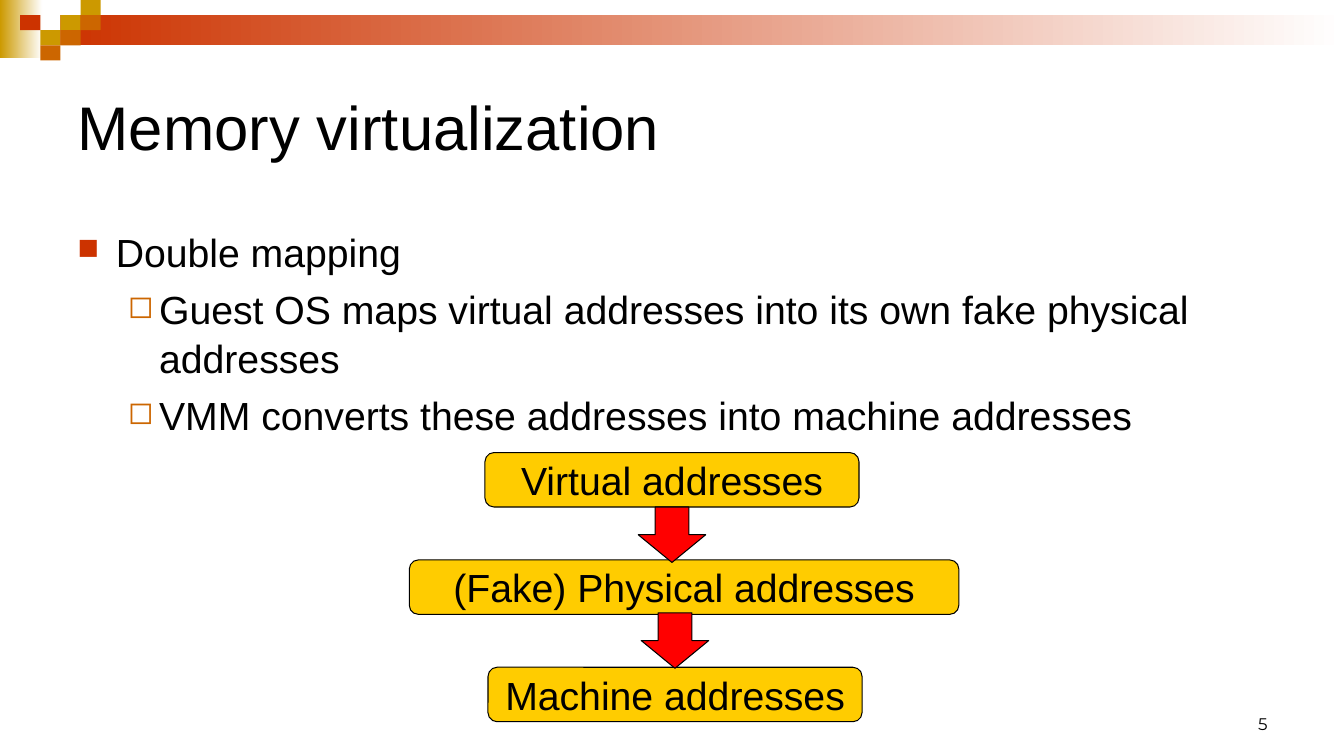
from pptx import Presentation
from pptx.dml.color import RGBColor
from pptx.enum.shapes import MSO_SHAPE as Shape
from pptx.enum.text import MSO_ANCHOR as Anchor, PP_ALIGN as Align
from pptx.oxml import parse_xml
from pptx.oxml.ns import nsdecls
from pptx.util import Inches, Pt

BLACK, WHITE, RED = "000000", "FFFFFF", "FF0000"
GOLD, RUST, BROWN, YELLOW = "CC9900", "CC3300", "CC6600", "FFCC00"


def rgb(code):
    return RGBColor.from_string(code)


def style(para, size, face="Arial", align=Align.LEFT):
    para.alignment = align
    font = para.font
    font.size, font.name = Pt(size), face
    font.color.rgb = rgb(BLACK)


def add_text(slide, box, anchor=Anchor.TOP):
    frame = slide.shapes.add_textbox(*map(Inches, box)).text_frame
    frame.word_wrap = True
    frame.vertical_anchor = anchor
    return frame


def add_part(slide, kind, box, fill, line=None):
    """Draw a preset shape; a pair of colours as fill makes a gradient."""
    part = slide.shapes.add_shape(kind, *map(Inches, box))
    part.shadow.inherit = False
    if isinstance(fill, tuple):
        part.fill.gradient()
        part.fill.gradient_angle = 0
        for stop, code, place in zip(part.fill.gradient_stops, fill, (0, 1)):
            stop.color.rgb, stop.position = rgb(code), place
    else:
        part.fill.solid()
        part.fill.fore_color.rgb = rgb(fill)
    if line:
        part.line.color.rgb = rgb(line)
        part.line.width = Pt(0.75)
    else:
        part.line.fill.background()
    return part


def add_band(slide, left, top, width):
    """Place the fading bars and the mosaic of tiles on them."""
    w, h = 0.2, 0.15
    add_part(slide, Shape.RECTANGLE, (left, top, 0.42, 0.58), (GOLD, WHITE))
    bar = (left + 3 * w, top + h, width - 3 * w, 2 * h)
    add_part(slide, Shape.RECTANGLE, bar, (RUST, WHITE))
    tiles = [(3, 1, GOLD), (4, 0, GOLD), (4, 1, BROWN), (2, 2, GOLD),
             (1, 1, RUST), (3, 2, BROWN), (2, 3, BROWN)]
    for col, row, fill in tiles:
        box = (left + col * w, top + row * h, w, h)
        add_part(slide, Shape.RECTANGLE, box, fill)


def add_title(slide, box, text):
    frame = add_text(slide, box, Anchor.MIDDLE)
    frame.text = text
    style(frame.paragraphs[0], 44)


def add_bullet(para, level):
    margin, hang, code, size, mark = [(0.38, 0.38, RUST, 75, "■"),
                                      (0.81, 0.31, BROWN, 80, "◻")][level]
    props = para._p.get_or_add_pPr()
    props.set("marL", str(Inches(margin)))
    props.set("indent", str(-Inches(hang)))
    for xml in (f'<a:buClr {nsdecls("a")}><a:srgbClr val="{code}"/></a:buClr>',
                f'<a:buSzPct {nsdecls("a")} val="{size * 1000}"/>',
                f'<a:buChar {nsdecls("a")} char="{mark}"/>'):
        props.append(parse_xml(xml))


def add_body(slide, box, items):
    frame = add_text(slide, box)
    frame.text = "\n".join(text for _, text in items)
    for i, (para, (level, _)) in enumerate(zip(frame.paragraphs, items)):
        para.level = level
        add_bullet(para, level)
        style(para, 28)
        para.line_spacing = 1.04
        if i:
            para.space_before = Pt(5.6)


def add_flow(slide, left, top, steps):
    """Stack labelled boxes, then lay an arrow below each but the last."""
    high, pitch = 0.54, 1.065
    for i, (text, shift, width) in enumerate(steps):
        box = (left + shift, top + i * pitch, width, high)
        label = add_part(slide, Shape.ROUNDED_RECTANGLE, box, YELLOW, BLACK)
        frame = label.text_frame
        frame.word_wrap = False
        frame.vertical_anchor = Anchor.MIDDLE
        frame.text = text
        style(frame.paragraphs[0], 28, align=Align.CENTER)
    for i in range(len(steps) - 1):
        box = (left + 2.27 + i * 0.03, top + high + i * 1.05, 0.67, 0.55)
        add_part(slide, Shape.DOWN_ARROW, box, RED, BLACK)


def add_number(slide, box, text):
    frame = add_text(slide, box, Anchor.BOTTOM)
    frame.text = text
    style(frame.paragraphs[0], 12, "Montserrat", Align.RIGHT)


def main():
    deck = Presentation()
    deck.slide_width, deck.slide_height = Inches(13.33), Inches(7.5)
    slide = deck.slides.add_slide(deck.slide_layouts[6])
    add_band(slide, 0, 0, 13.33)
    add_title(slide, (0.67, 0.5, 12, 1.5), "Memory virtualization")
    add_body(slide, (0.67, 2.2, 12, 4.25), [
        (0, "Double mapping"),
        (1, "Guest OS maps virtual addresses into its own fake physical "
            "addresses"),
        (1, "VMM converts these addresses into machine addresses")])
    add_flow(slide, 4.06, 4.49, [("Virtual addresses", 0.75, 3.71),
                                 ("(Fake) Physical addresses", 0, 5.45),
                                 ("Machine addresses", 0.78, 3.71)])
    add_number(slide, (9.56, 6.83, 3.11, 0.5), "5")
    deck.save("out.pptx")


if __name__ == "__main__":
    main()
